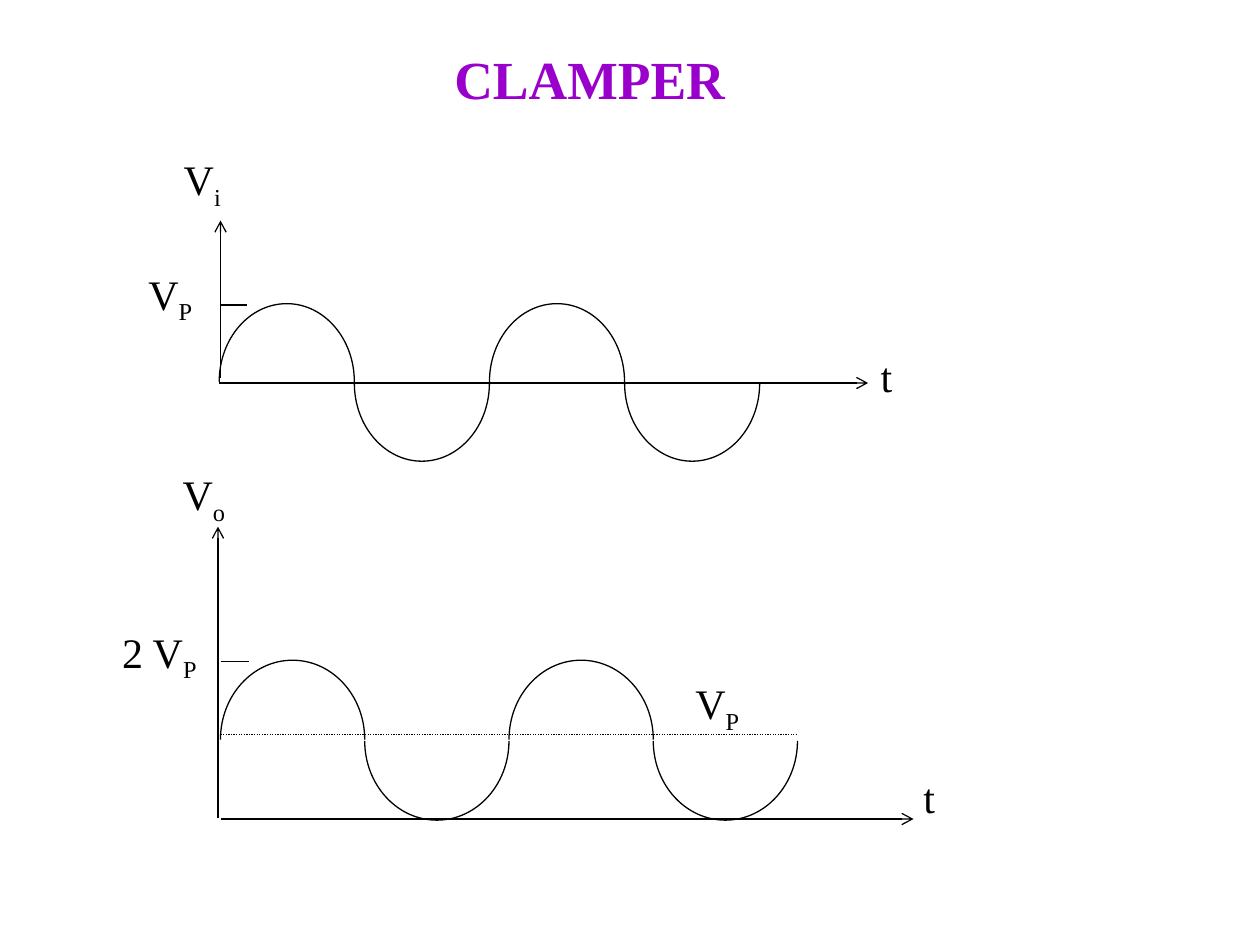
from pptx import Presentation
from pptx.dml.color import RGBColor
from pptx.enum.dml import MSO_LINE
from pptx.enum.shapes import MSO_CONNECTOR
from pptx.enum.text import MSO_ANCHOR, PP_ALIGN
from pptx.oxml.ns import qn
from pptx.util import Inches, Pt
from lxml.etree import SubElement

FONT = "Times New Roman"
BLACK, PURPLE = "000000", "9900CC"
LABEL = {"name": FONT, "size": Pt(24)}
TITLE = {"name": FONT, "size": Pt(30.6), "bold": True}


def rgb(color):
    return RGBColor.from_string(color)


def add_run(p, text, style, color):
    r = p.add_run()
    r.text = text
    for name, value in style.items():
        setattr(r.font, name, value)
    r.font.color.rgb = rgb(color)
    return r


def add_box(shapes, left, top, width, height):
    tf = shapes.add_textbox(*map(Inches, (left, top, width, height))).text_frame
    tf.word_wrap = True
    return tf


def add_title(shapes, text):
    tf = add_box(shapes, 0.43, 0.28, 8.5, 0.75)
    tf.vertical_anchor = MSO_ANCHOR.MIDDLE
    p = tf.paragraphs[0]
    p.alignment = PP_ALIGN.CENTER
    p.line_spacing = 0.9
    add_run(p, text, TITLE, PURPLE)


def add_label(shapes, left, top, width, text, subscript=""):
    p = add_box(shapes, left, top, width, 0.62).paragraphs[0]
    add_run(p, text, LABEL, BLACK)
    if subscript:
        r = add_run(p, subscript, LABEL, BLACK)
        r._r.get_or_add_rPr().set("baseline", "-25000")


def style_line(shape):
    shape.line.color.rgb = rgb(BLACK)
    shape.line.width = Pt(0.75)


def add_line(shapes, x1, y1, x2, y2, arrow=False, dash=None):
    """Draw a straight line, with an open arrowhead at its end if asked."""
    line = shapes.add_connector(
        MSO_CONNECTOR.STRAIGHT, *map(Inches, (x1, y1, x2, y2)))
    style_line(line)
    if dash:
        line.line.dash_style = dash
    if arrow:
        SubElement(line.line._get_or_add_ln(), qn("a:tailEnd"), type="arrow")
    SubElement(line._element.spPr, qn("a:effectLst"))


def add_half_wave(shapes, left, base, width, height, side):
    """Draw half an ellipse from two curves; side is -1 up, 1 down."""
    right, middle = left + width, left + width / 2
    peak = base + side * height
    builder = shapes.build_freeform(Inches(left), Inches(base), scale=1.0)
    builder.add_line_segments(
        [(Inches(middle), Inches(peak)), (Inches(right), Inches(base))],
        close=False)
    wave = builder.convert_to_shape()
    wave.fill.background()
    wave.shadow.inherit = False
    style_line(wave)

    pull = 0.5523
    bend_x, bend_y = pull * width / 2, base + side * pull * height
    curves = [
        [(left, bend_y), (middle - bend_x, peak), (middle, peak)],
        [(middle + bend_x, peak), (right, bend_y), (right, base)],
    ]
    path = wave._element.spPr.find(".//" + qn("a:path"))
    for straight in path.findall(qn("a:lnTo")):
        path.remove(straight)
    top = min(base, peak)
    for curve in curves:
        bezier = SubElement(path, qn("a:cubicBezTo"))
        for x, y in curve:
            SubElement(bezier, qn("a:pt"), x=str(Inches(x - left)),
                       y=str(Inches(y - top)))


def add_wave(shapes, left, right, base, height):
    width = (right - left) / 4
    for i in range(4):
        side, start = (1, base) if i % 2 else (-1, base - 0.01)
        add_half_wave(shapes, left + i * width, start, width, height, side)


def add_input_graph(shapes):
    add_label(shapes, 6.89, 2.73, 0.64, "t")
    add_line(shapes, 1.75, 3, 1.75, 1.75, arrow=True)
    add_line(shapes, 1.74, 3.04, 6.89, 3.04, arrow=True)
    add_label(shapes, 1.36, 1.17, 0.86, "V", "i")
    add_wave(shapes, 1.74, 6.03, 3.04, 0.62)
    add_line(shapes, 1.75, 2.42, 1.96, 2.42)
    add_label(shapes, 1.08, 2.08, 0.86, "V", "P")


def add_output_graph(shapes):
    add_line(shapes, 1.75, 5.83, 6.33, 5.83, dash=MSO_LINE.ROUND_DOT)
    add_label(shapes, 7.23, 6.07, 0.69, "t")
    add_line(shapes, 1.73, 6.49, 1.73, 4.18, arrow=True)
    add_line(shapes, 1.75, 6.5, 7.25, 6.5, arrow=True)
    add_wave(shapes, 1.75, 6.33, 5.88, 0.63)
    add_label(shapes, 1.35, 3.67, 0.92, "V", "o")
    add_line(shapes, 1.75, 5.25, 1.98, 5.25)
    add_label(shapes, 0.87, 4.92, 1.25, "2 V", "P")
    add_label(shapes, 5.42, 5.33, 0.92, "V", "P")


def main():
    prs = Presentation()
    prs.slide_width, prs.slide_height = Inches(10), Inches(7.5)
    s = prs.slides.add_slide(prs.slide_layouts[6])
    for add_graph in (add_input_graph, add_output_graph):
        add_graph(s.shapes.add_group_shape().shapes)
    add_title(s.shapes, "CLAMPER")
    prs.save("out.pptx")


if __name__ == "__main__":
    main()
